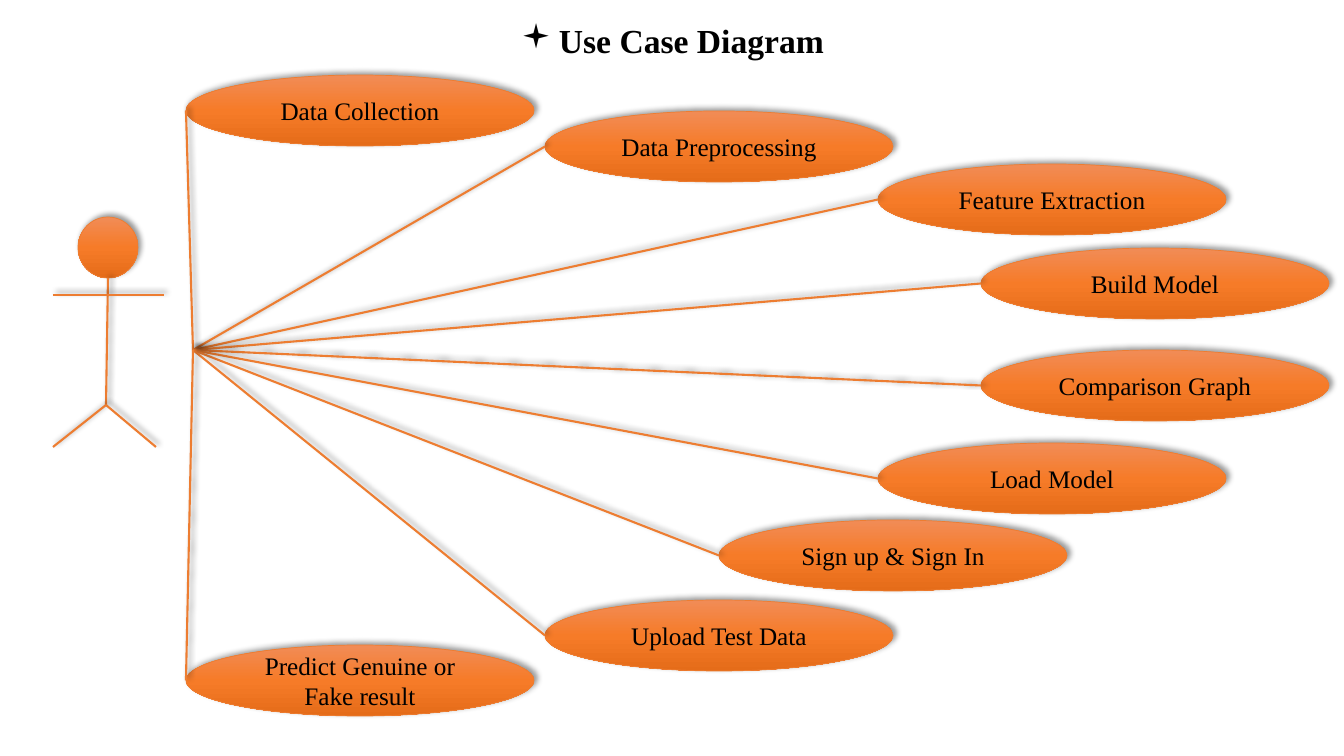
from pptx import Presentation
from pptx.dml.color import RGBColor
from pptx.enum.shapes import MSO_CONNECTOR, MSO_SHAPE
from pptx.enum.text import MSO_ANCHOR, PP_ALIGN
from pptx.oxml import parse_xml
from pptx.oxml.ns import nsdecls
from pptx.util import Pt

EMU_PER_PX = 914400 / 100.8
FONT = "Times New Roman"
BLACK = RGBColor(0x00, 0x00, 0x00)
ORANGE = RGBColor(0xED, 0x7D, 0x31)
GRADIENT = (
    (0, RGBColor(0xF1, 0x8C, 0x57)),
    (50, RGBColor(0xF6, 0x7B, 0x28)),
    (100, RGBColor(0xE5, 0x6C, 0x19)),
)

CASE_WIDTH, CASE_HEIGHT = 348, 71
HUB = (193, 350)
USE_CASES = (
    ("Data Collection", 186, 75),
    ("Data Preprocessing", 545, 111),
    ("Feature Extraction", 878, 164),
    ("Build Model", 981, 248),
    ("Comparison Graph", 981, 350),
    ("Load Model", 878, 443),
    ("Sign up & Sign In", 719, 520),
    ("Upload Test Data", 545, 600),
    ("Predict Genuine or Fake result", 186, 645),
)
NECK, HIP = (108, 278), (106, 405)
ACTOR_LIMBS = (
    (NECK, HIP),
    (HIP, (53, 447)),
    (HIP, (156, 447)),
    ((53, 295), (164, 295)),
)


def px(*lengths):
    return [round(length * EMU_PER_PX) for length in lengths]


def add_shadow(element):
    element.spPr.append(parse_xml(
        f'<a:effectLst {nsdecls("a")}>'
        '<a:outerShdw blurRad="50800" dist="38100" dir="18900000" '
        'algn="bl" rotWithShape="0">'
        '<a:srgbClr val="000000"><a:alpha val="40000"/></a:srgbClr>'
        '</a:outerShdw></a:effectLst>'))


def fill_gradient(shape):
    stops = "".join(
        f'<a:gs pos="{percent * 1000}"><a:srgbClr val="{color}"/></a:gs>'
        for percent, color in GRADIENT)
    shape.element.spPr.append(parse_xml(
        f'<a:gradFill {nsdecls("a")} rotWithShape="1"><a:gsLst>{stops}</a:gsLst>'
        '<a:lin ang="5400000" scaled="0"/></a:gradFill>'))


def style_line(line, width):
    line.color.rgb = ORANGE
    line.width = Pt(width)


def style_text(para, size, bold=False):
    para.alignment = PP_ALIGN.CENTER
    for span in para.runs:
        span.font.name = FONT
        span.font.size = Pt(size)
        span.font.bold = bold
        span.font.color.rgb = BLACK


def add_title(page, text):
    box = page.shapes.add_textbox(*px(93, 11, 1159, 64))
    frame = box.text_frame
    frame.word_wrap = True
    frame.vertical_anchor = MSO_ANCHOR.MIDDLE
    frame.text = text
    para = frame.paragraphs[0]
    para.line_spacing = 0.9
    properties = para._p.get_or_add_pPr()
    properties.set("marL", "342900")
    properties.set("indent", "-342900")
    properties.append(parse_xml(f'<a:buFont {nsdecls("a")} typeface="Wingdings"/>'))
    properties.append(parse_xml(f'<a:buChar {nsdecls("a")} char="▪"/>'))
    style_text(para, 24, bold=True)


def add_ellipse(page, left, top, width, height):
    ellipse = page.shapes.add_shape(MSO_SHAPE.OVAL, *px(left, top, width, height))
    fill_gradient(ellipse)
    style_line(ellipse.line, 0.5)
    add_shadow(ellipse.element)
    return ellipse


def add_use_case(page, label, left, top):
    frame = add_ellipse(page, left, top, CASE_WIDTH, CASE_HEIGHT).text_frame
    frame.word_wrap = True
    frame.vertical_anchor = MSO_ANCHOR.MIDDLE
    frame.text = label
    style_text(frame.paragraphs[0], 18)


def add_line(page, start, end):
    line = page.shapes.add_connector(MSO_CONNECTOR.STRAIGHT, *px(*start, *end))
    style_line(line.line, 1.5)
    add_shadow(line._element)


def add_actor(page):
    add_ellipse(page, 78, 217, 60, 61)
    for start, end in ACTOR_LIMBS:
        add_line(page, start, end)


def main():
    deck = Presentation()
    deck.slide_width, deck.slide_height = px(1344, 756)
    page = deck.slides.add_slide(deck.slide_layouts[6])
    add_title(page, "Use Case Diagram")
    add_actor(page)
    for label, left, top in USE_CASES:
        add_use_case(page, label, left, top)
    for label, left, top in USE_CASES:
        add_line(page, HUB, (left, top + CASE_HEIGHT / 2))
    deck.save("out.pptx")


if __name__ == "__main__":
    main()
